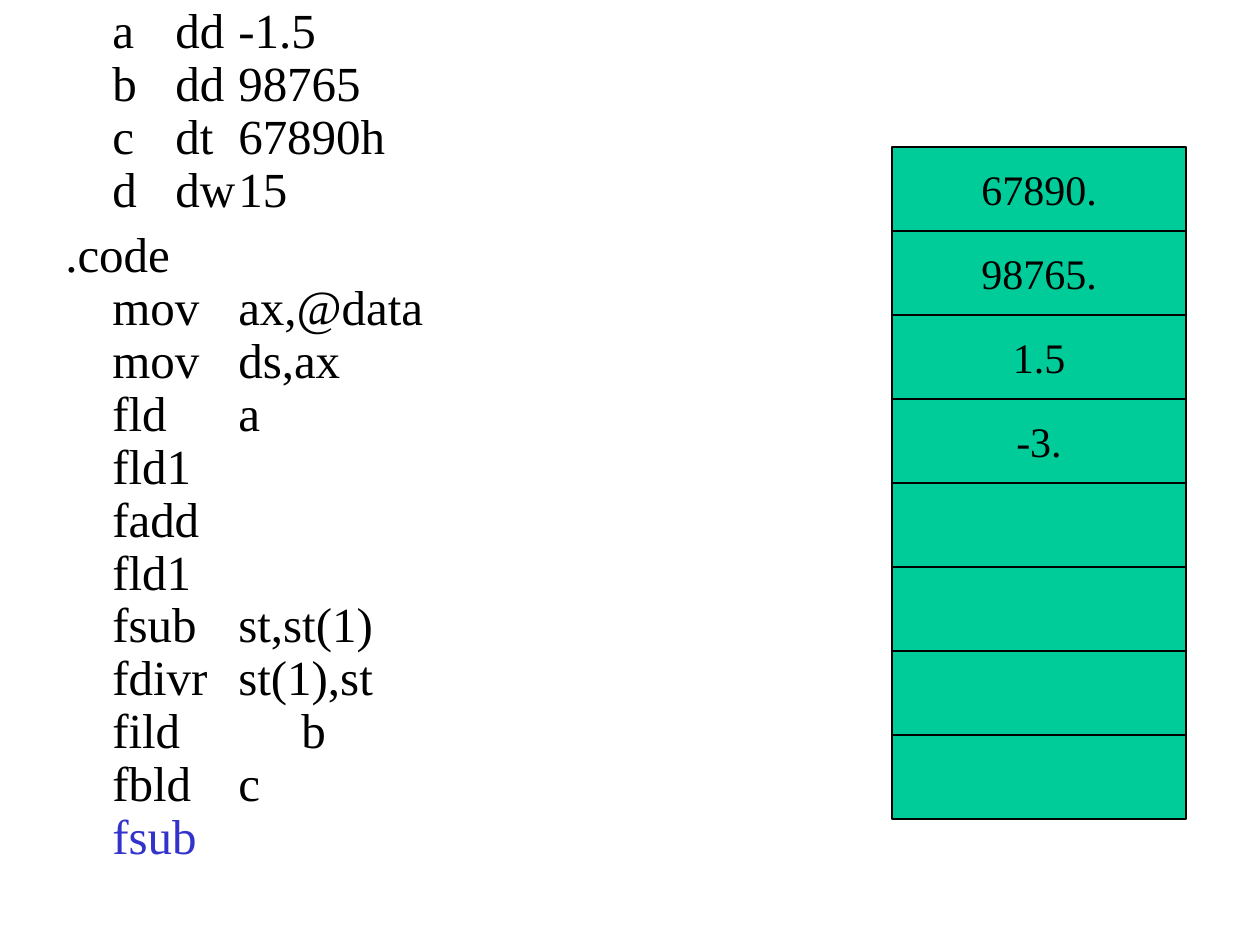
from typing import NamedTuple

from lxml.etree import SubElement
from pptx import Presentation
from pptx.dml.color import RGBColor
from pptx.enum.shapes import MSO_SHAPE
from pptx.enum.text import MSO_ANCHOR, PP_ALIGN
from pptx.oxml.ns import qn
from pptx.util import Emu, Pt

EMU_PER_PX = 914400 / 126
BLACK = RGBColor(0x00, 0x00, 0x00)
BLUE = RGBColor(0x33, 0x33, 0xCC)
GREEN = RGBColor(0x00, 0xCC, 0x99)
FONT = "Times New Roman"
INDENT = 47
TAB_STEP = 126
TAB_COUNT = 8


class CodeLine(NamedTuple):
    text: str
    color: RGBColor = BLACK


class Box(NamedTuple):
    left: int
    top: int
    width: int
    height: int


DATA = [CodeLine(t) for t in ("\ta\tdd\t-1.5", "b\tdd\t98765", "c\tdt\t67890h", "d\tdw\t15")]
CODE = [CodeLine(t) for t in (
    ".code", "mov\tax,@data", "mov\tds,ax", "fld\t\ta", "fld1", "fadd", "fld1",
    "fsub\tst,st(1)", "fdivr\tst(1),st", "fild\t\tb", "fbld\tc",
)] + [CodeLine("fsub", BLUE)]
LISTING_BOX = Box(53, 0, 567, 945)
STACK_TOP = Box(892, 147, 294, 84)
REGISTERS = ["67890.", "98765.", "1.5", "-3.", "", "", "", ""]


def px(n: int) -> Emu:
    return Emu(round(n * EMU_PER_PX))


def add_run(p, text: str, size: int, color: RGBColor) -> None:
    r = p.add_run()
    r.text = text
    r.font.name = FONT
    r.font.size = Pt(size)
    r.font.color.rgb = color


def format_listing(p) -> None:
    """Set spacing, hanging indent and evenly spaced tab stops."""
    p.line_spacing = 0.9
    p.space_before = Pt(7)
    pPr = p._p.get_or_add_pPr()
    pPr.set("marL", str(px(INDENT)))
    pPr.set("indent", str(-px(INDENT)))
    tabs = SubElement(pPr, qn("a:tabLst"))
    for i in range(TAB_COUNT):
        SubElement(tabs, qn("a:tab"), pos=str(px(i * TAB_STEP)), algn="l")


def add_listing(s, box: Box, blocks: list[list[CodeLine]]) -> None:
    tf = s.shapes.add_textbox(*map(px, box)).text_frame
    tf.word_wrap = True
    for i, block in enumerate(blocks):
        p = tf.add_paragraph() if i else tf.paragraphs[0]
        format_listing(p)
        for j, line in enumerate(block):
            if j:
                p.add_line_break()
            add_run(p, line.text, 28, line.color)


def add_register(s, box: Box, value: str) -> None:
    sp = s.shapes.add_shape(MSO_SHAPE.RECTANGLE, *map(px, box))
    sp.shadow.inherit = False
    sp.fill.solid()
    sp.fill.fore_color.rgb = GREEN
    sp.line.color.rgb = BLACK
    sp.line.width = Pt(0.75)
    if value:
        tf = sp.text_frame
        tf.word_wrap = False
        tf.vertical_anchor = MSO_ANCHOR.MIDDLE
        p = tf.paragraphs[0]
        p.alignment = PP_ALIGN.CENTER
        add_run(p, value, 24, BLACK)


def main() -> None:
    prs = Presentation()
    prs.slide_width, prs.slide_height = px(1260), px(945)
    s = prs.slides.add_slide(prs.slide_layouts[6])
    add_listing(s, LISTING_BOX, [DATA, CODE])
    for i, value in enumerate(REGISTERS):
        add_register(s, STACK_TOP._replace(top=STACK_TOP.top + i * STACK_TOP.height), value)
    prs.save("out.pptx")


if __name__ == "__main__":
    main()
